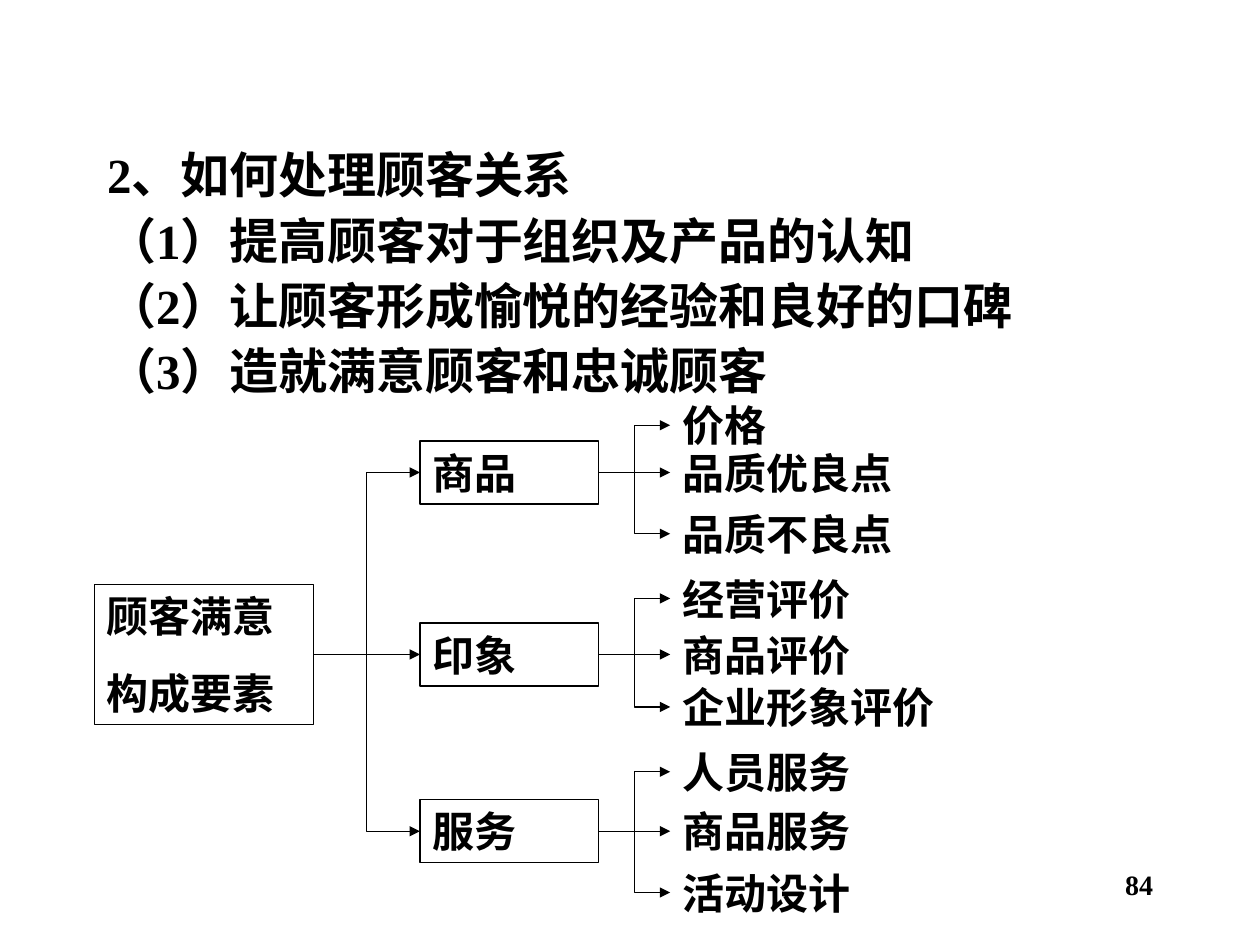
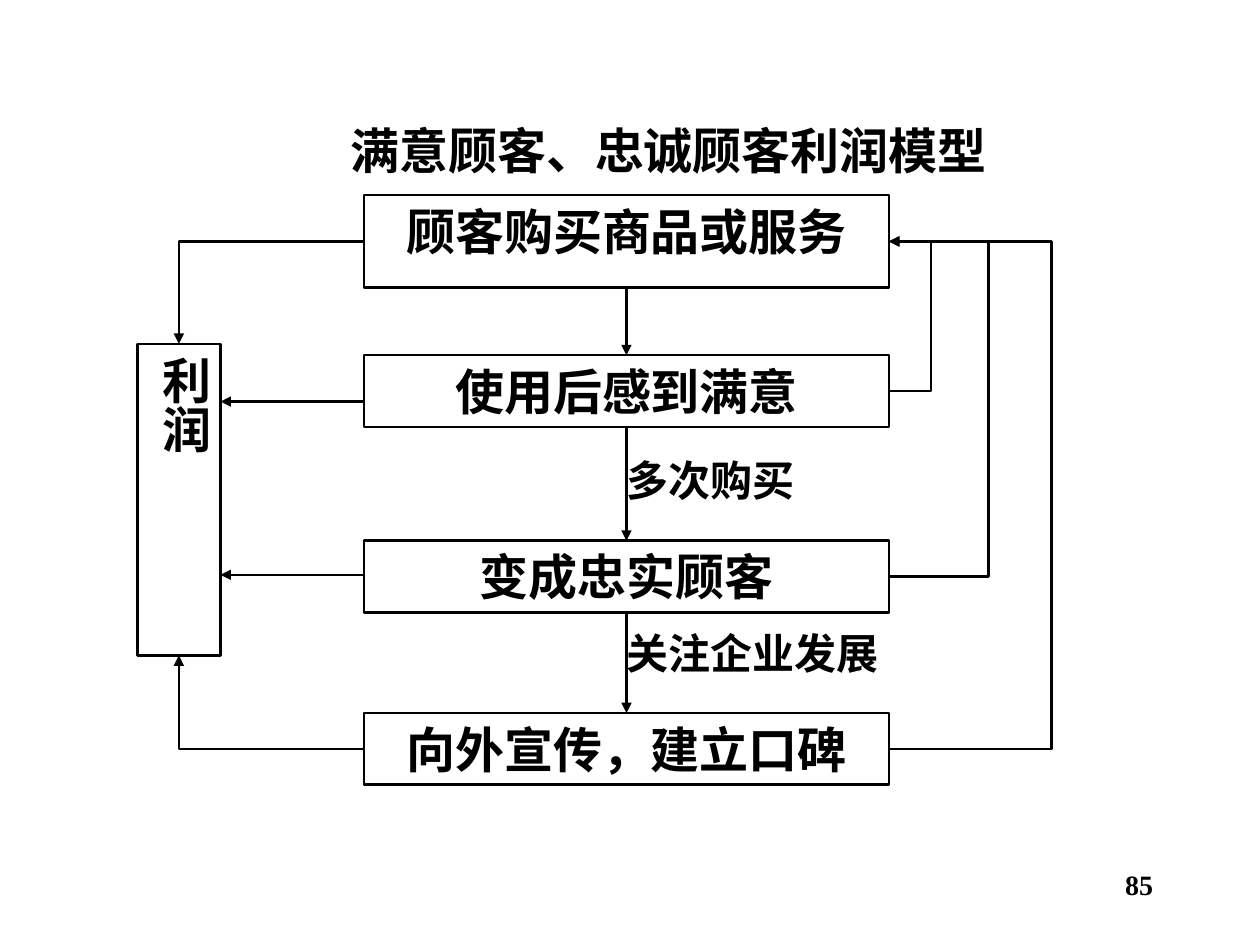
from pptx import Presentation
from pptx.dml.color import RGBColor
from pptx.enum.shapes import MSO_CONNECTOR as LINK, MSO_SHAPE as SHAPE
from pptx.enum.text import MSO_ANCHOR as ANCHOR, MSO_AUTO_SIZE as AUTOSIZE, PP_ALIGN as ALIGN
from pptx.oxml.ns import qn
from pptx.util import Pt
from lxml import etree

COLORS = {"ink": "000000"}
FONT = "Times New Roman"
LARGE, MEDIUM, SMALL = 28, 24, 16
TOP, LEFT, BOTTOM, RIGHT = range(4)  # connection sites of a rectangle


def ink():
    return RGBColor.from_string(COLORS["ink"])


# Text
def write(frame, lines, size, align=ALIGN.LEFT, gap=0):
    frame.word_wrap = True
    frame.auto_size = AUTOSIZE.NONE
    frame.vertical_anchor = ANCHOR.TOP
    for i, line in enumerate(lines):
        paragraph = frame.add_paragraph() if i else frame.paragraphs[0]
        paragraph.alignment = align
        paragraph.space_before = Pt(gap if i else 0)
        run = paragraph.add_run()
        run.text = line
        run.font.name = FONT
        run.font.size = Pt(size)
        run.font.bold = True
        run.font.color.rgb = ink()


def place(placeholder, left, top, width, height):
    placeholder.left, placeholder.top = Pt(left), Pt(top)
    placeholder.width, placeholder.height = Pt(width), Pt(height)


def add_label(slide, text, left, top, width, size=MEDIUM, align=ALIGN.LEFT):
    label = slide.shapes.add_textbox(Pt(left), Pt(top), Pt(width), Pt(36))
    write(label.text_frame, [text], size, align)
    return label


def add_page_number(slide, number):
    add_label(slide, str(number), 516, 492, 150, SMALL, ALIGN.RIGHT)


# Boxes and lines
def set_line(shape, weight):
    shape.line.color.rgb = ink()
    shape.line.width = Pt(weight)


def add_arrowhead(shape):
    outline = shape.element.spPr.find(qn("a:ln"))
    etree.SubElement(outline, qn("a:tailEnd"), type="triangle")


def add_box(slide, lines, left, top, width, height, size, weight, align=ALIGN.LEFT, gap=0):
    box = slide.shapes.add_shape(SHAPE.RECTANGLE, Pt(left), Pt(top), Pt(width), Pt(height))
    box.shadow.inherit = False
    box.fill.background()
    set_line(box, weight)
    write(box.text_frame, lines, size, align, gap)
    return box


def add_arrow(slide, start, end, weight, kind=LINK.STRAIGHT):
    arrow = slide.shapes.add_connector(kind, *(Pt(v) for v in (*start, *end)))
    set_line(arrow, weight)
    add_arrowhead(arrow)
    etree.SubElement(arrow.element.spPr, qn("a:effectLst"))
    return arrow


def link(slide, source, source_site, target, target_site, weight, kind=LINK.STRAIGHT):
    arrow = add_arrow(slide, (0, 0), (0, 0), weight, kind)
    arrow.begin_connect(source, source_site)
    arrow.end_connect(target, target_site)
    return arrow


def branch_link(slide, source, target):
    level = source.top + source.height // 2 == target.top + target.height // 2
    kind = LINK.STRAIGHT if level else LINK.ELBOW
    link(slide, source, RIGHT, target, LEFT, 0.75, kind)


def corner_link(slide, source, target, target_site, weight):
    arrow = link(slide, source, LEFT, target, target_site, weight, LINK.ELBOW)
    arrow.element.spPr.find(qn("a:prstGeom")).set("prst", "bentConnector2")


def add_return_path(slide, points, weight):
    start, *others = [(Pt(x), Pt(y)) for x, y in points]
    builder = slide.shapes.build_freeform(*start)
    builder.add_line_segments(others, close=False)
    path_line = builder.convert_to_shape()
    path_line.shadow.inherit = False
    path_line.fill.background()
    set_line(path_line, weight)
    add_arrowhead(path_line)


# Slides
def build_relations_slide(deck):
    slide = deck.slides.add_slide(deck.slide_layouts[1])
    unused_title = slide.shapes.title.element
    unused_title.getparent().remove(unused_title)

    # Main points
    points = slide.placeholders[1]
    place(points, 54, 83, 612, 158)
    write(points.text_frame, [
        "2、如何处理顾客关系",
        "（1）提高顾客对于组织及产品的认知",
        "（2）让顾客形成愉悦的经验和良好的口碑",
        "（3）造就满意顾客和忠诚顾客",
    ], LARGE, gap=7)
    for paragraph in points.text_frame.paragraphs:
        paragraph.line_spacing = 0.9
        properties = paragraph._p.get_or_add_pPr()
        properties.set("marL", str(Pt(27)))
        properties.set("indent", str(-Pt(27)))
        etree.SubElement(properties, qn("a:buNone"))

    # Tree of satisfaction factors: branch, its top, leaves with their tops
    root = add_box(slide, ["顾客满意", "构成要素"], 54, 334, 125, 80, MEDIUM, 0.75, gap=15)
    branches = [
        ("商品", 252, [("价格", 225), ("品质优良点", 252), ("品质不良点", 287)]),
        ("印象", 356, [("经营评价", 324), ("商品评价", 356), ("企业形象评价", 386)]),
        ("服务", 457, [("人员服务", 423), ("商品服务", 457), ("活动设计", 492)]),
    ]
    for name, top, leaves in branches:
        branch = add_box(slide, [name], 240, top, 102, 36, MEDIUM, 0.75)
        branch_link(slide, root, branch)
        for leaf_name, leaf_top in leaves:
            branch_link(slide, branch, add_label(slide, leaf_name, 383, leaf_top, 170))

    add_page_number(slide, 84)


def build_profit_slide(deck):
    slide = deck.slides.add_slide(deck.slide_layouts[5])
    weight = 1.5

    place(slide.shapes.title, 76, 65.5, 612, 45)
    write(slide.shapes.title.text_frame, ["满意顾客、忠诚顾客利润模型"], LARGE, ALIGN.CENTER)

    # Steps from purchase to word of mouth
    step_left, step_width = 208, 300
    steps = [
        ("顾客购买商品或服务", 111.5, 53),
        ("使用后感到满意", 203, 41),
        ("变成忠实顾客", 309, 41),
        ("向外宣传，建立口碑", 407.5, 41),
    ]
    boxes = [add_box(slide, [text], step_left, top, step_width, height,
                     LARGE, weight, ALIGN.CENTER)
             for text, top, height in steps]
    for upper, lower in zip(boxes, boxes[1:]):
        link(slide, upper, BOTTOM, lower, TOP, weight)
    add_label(slide, "多次购买", 351, 256, 150)
    add_label(slide, "关注企业发展", 351, 355, 204)

    # Paths back to the purchase
    step_right = step_left + step_width
    middles = [top + height / 2 for _, top, height in steps]
    for middle, reach in zip(middles[1:], (532, 565, 601)):
        add_return_path(slide, [(step_right, middle), (reach, middle),
                                (reach, middles[0]), (step_right, middles[0])], weight)

    # Profit, fed by every step
    profit_left, profit_width = 78.5, 47.5
    profit = add_box(slide, ["利润"], profit_left, 196.5, profit_width, 178,
                     LARGE, weight, ALIGN.CENTER)
    frame = profit.text_frame
    frame.margin_left = frame.margin_right = Pt(3.6)
    frame.margin_top = frame.margin_bottom = Pt(7.2)
    frame._txBody.bodyPr.set("vert", "eaVert")
    corner_link(slide, boxes[0], profit, TOP, weight)
    corner_link(slide, boxes[-1], profit, BOTTOM, weight)
    for y in (229.5, 328.5):
        add_arrow(slide, (step_left, y), (profit_left + profit_width, y), weight)

    add_page_number(slide, 85)


def main():
    deck = Presentation()
    deck.slide_width, deck.slide_height = Pt(720), Pt(540)
    build_relations_slide(deck)
    build_profit_slide(deck)
    deck.save("out.pptx")


if __name__ == "__main__":
    main()
